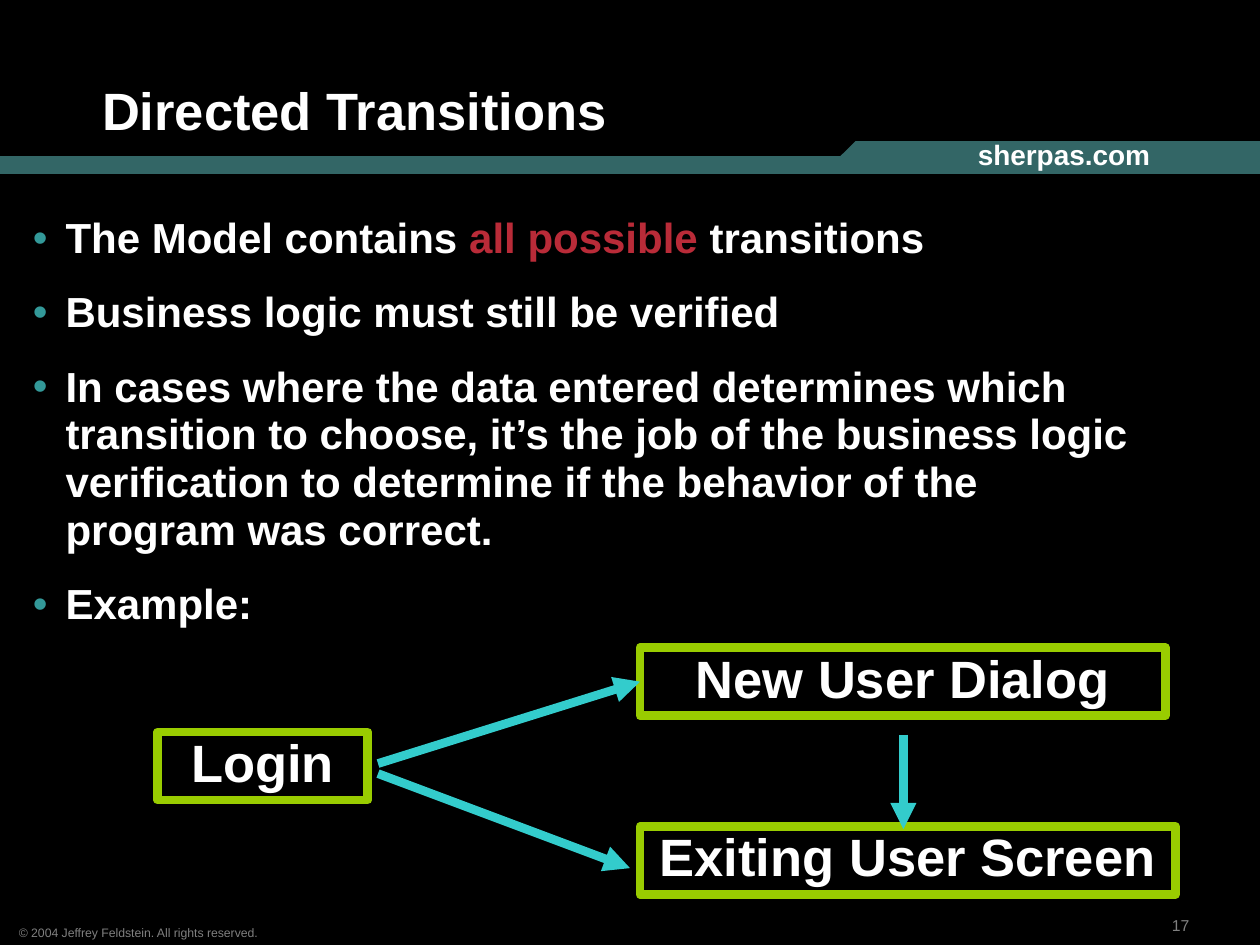
import dataclasses

import lxml.etree
import pptx
import pptx.dml.color
import pptx.enum.shapes
import pptx.enum.text
import pptx.oxml.ns
import pptx.util

Inches = pptx.util.Inches
Pt = pptx.util.Pt
ANCHOR = pptx.enum.text.MSO_ANCHOR
ALIGN = pptx.enum.text.PP_ALIGN
AUTO_SIZE = pptx.enum.text.MSO_AUTO_SIZE


@dataclasses.dataclass(frozen=True)
class Theme:
    font: str = "Arial"
    background: str = "000000"
    text: str = "FFFFFF"
    muted: str = "808080"
    band: str = "336666"
    bullet: str = "339999"
    emphasis: str = "B92B38"
    box_line: str = "99CC00"
    arrow: str = "33CCCC"
    heading_size: float = 30
    body_size: float = 24
    site_size: float = 16
    number_size: float = 9
    copyright_size: float = 7
    line_width: float = 5


def rgb(color):
    return pptx.dml.color.RGBColor.from_string(color)


def add_xml(parent, tag, **attributes):
    return lxml.etree.SubElement(parent, pptx.oxml.ns.qn(tag), attributes)


class SlideBuilder:
    def __init__(self, slide, theme):
        self.slide = slide
        self.theme = theme
        fill = slide.background.fill
        fill.solid()
        fill.fore_color.rgb = rgb(theme.background)

    def place(self, shape, left, top, width, height):
        shape.left, shape.top = Inches(left), Inches(top)
        shape.width, shape.height = Inches(width), Inches(height)

    def format_frame(self, frame, anchor=ANCHOR.TOP, wrap=True, auto_size=AUTO_SIZE.NONE):
        frame.margin_left = frame.margin_right = Inches(0.09)
        frame.margin_top = frame.margin_bottom = Inches(0.04)
        frame.vertical_anchor = anchor
        frame.word_wrap = wrap
        frame.auto_size = auto_size

    def format_para(self, para, size, color, bold=True, spacing=0.9, align=ALIGN.LEFT):
        para.alignment = align
        para.line_spacing = spacing
        para.space_before = Pt(0)
        for span in para.runs:
            span.font.name = self.theme.font
            span.font.size = Pt(size)
            span.font.bold = bold
            span.font.color.rgb = rgb(color)

    def title(self, text, *area):
        shape = self.slide.shapes.title
        self.place(shape, *area)
        shape.text_frame.text = text
        self.format_frame(shape.text_frame, ANCHOR.BOTTOM)
        self.format_para(shape.text_frame.paragraphs[0], self.theme.heading_size, self.theme.text)

    def bullets(self, items, *area):
        """Each item is a list of (text, color) spans."""
        shape = self.slide.placeholders[1]
        self.place(shape, *area)
        frame = shape.text_frame
        self.format_frame(frame)
        for index, item in enumerate(items):
            para = frame.add_paragraph() if index else frame.paragraphs[0]
            properties = para._p.get_or_add_pPr()
            properties.set("marL", str(Inches(0.26)))
            properties.set("indent", str(Inches(-0.26)))
            bullet_color = add_xml(properties, "a:buClr")
            add_xml(bullet_color, "a:srgbClr", val=self.theme.bullet)
            add_xml(properties, "a:buFont", typeface=self.theme.font)
            add_xml(properties, "a:buChar", char="•")
            for text, _ in item:
                para.add_run().text = text
            self.format_para(para, self.theme.body_size, self.theme.text, spacing=0.95)
            for span, (_, color) in zip(para.runs, item):
                span.font.color.rgb = rgb(color)
            if index:
                para.space_before = Pt(15)

    def label(self, text, area, size, color, bold=False, anchor=ANCHOR.BOTTOM, spacing=1.0):
        box = self.slide.shapes.add_textbox(*map(Inches, area))
        box.text_frame.text = text
        self.format_frame(box.text_frame, anchor, False, AUTO_SIZE.SHAPE_TO_FIT_TEXT)
        self.format_para(box.text_frame.paragraphs[0], size, color, bold, spacing)

    def band(self, points):
        start, *rest = [(Inches(x), Inches(y)) for x, y in points]
        outline = self.slide.shapes.build_freeform(*start)
        outline.add_line_segments(rest, close=True)
        shape = outline.convert_to_shape()
        shape.shadow.inherit = False
        shape.fill.solid()
        shape.fill.fore_color.rgb = rgb(self.theme.band)
        shape.line.fill.background()

    def state(self, text, left, top, width):
        shape = self.slide.shapes.add_shape(
            pptx.enum.shapes.MSO_SHAPE.RECTANGLE,
            Inches(left), Inches(top), Inches(width), Inches(0.54))
        shape.shadow.inherit = False
        shape.fill.background()
        shape.line.color.rgb = rgb(self.theme.box_line)
        shape.line.width = Pt(self.theme.line_width)
        shape.text_frame.text = text
        self.format_frame(shape.text_frame, auto_size=AUTO_SIZE.SHAPE_TO_FIT_TEXT)
        self.format_para(shape.text_frame.paragraphs[0], self.theme.heading_size,
                         self.theme.text, align=ALIGN.CENTER)
        return shape

    def arrow(self, start, end, target=None):
        """Draw an arrow; a target is joined at the middle of its left side."""
        connector = self.slide.shapes.add_connector(
            pptx.enum.shapes.MSO_CONNECTOR.STRAIGHT, *map(Inches, start + end))
        if target is not None:
            connector.end_connect(target, 1)
        connector.line.color.rgb = rgb(self.theme.arrow)
        connector.line.width = Pt(self.theme.line_width)
        add_xml(connector.line._get_or_add_ln(), "a:tailEnd", type="triangle")
        add_xml(connector._element.spPr, "a:effectLst")


def main():
    deck = pptx.Presentation()
    deck.slide_width, deck.slide_height = Inches(10), Inches(7.5)
    theme = Theme()
    page = SlideBuilder(deck.slides.add_slide(deck.slide_layouts[1]), theme)

    # Header band and footer
    page.band([(0, 1.38), (0, 1.24), (6.67, 1.24), (6.79, 1.12), (10, 1.12), (10, 1.38)])
    page.label("17", (9.21, 7.22, 0.75, 0.24), theme.number_size, theme.muted)
    page.label("© 2004 Jeffrey Feldstein. All rights reserved.",
               (0.06, 7.29, 2.08, 0.21), theme.copyright_size, theme.muted)
    page.label("sherpas.com", (7.67, 1.08, 1.55, 0.33), theme.site_size, theme.text,
               bold=True, anchor=ANCHOR.TOP, spacing=0.9)

    # Title and list
    page.title("Directed Transitions", 0.72, 0.25, 8.91, 0.92)
    page.bullets([
        [("The Model contains ", theme.text), ("all possible ", theme.emphasis),
         ("transitions", theme.text)],
        [("Business logic must still be verified", theme.text)],
        [("In cases where the data entered determines which transition to choose, "
          "it’s the job of the business logic verification to determine if the "
          "behavior of the program was correct.", theme.text)],
        [("Example:", theme.text)],
    ], 0.17, 1.67, 8.92, 3.58)

    # Example: login leads to one of two screens
    page.state("Login", 1.25, 5.81, 1.67)
    new_user = page.state("New User Dialog", 5.08, 5.14, 4.17)
    page.state("Exiting User Screen", 5.08, 6.56, 4.25)
    page.arrow((3, 6.06), (5.08, 5.41), new_user)
    page.arrow((3, 6.14), (5, 6.89))
    page.arrow((7.17, 5.83), (7.17, 6.58))

    deck.save("out.pptx")


if __name__ == "__main__":
    main()
